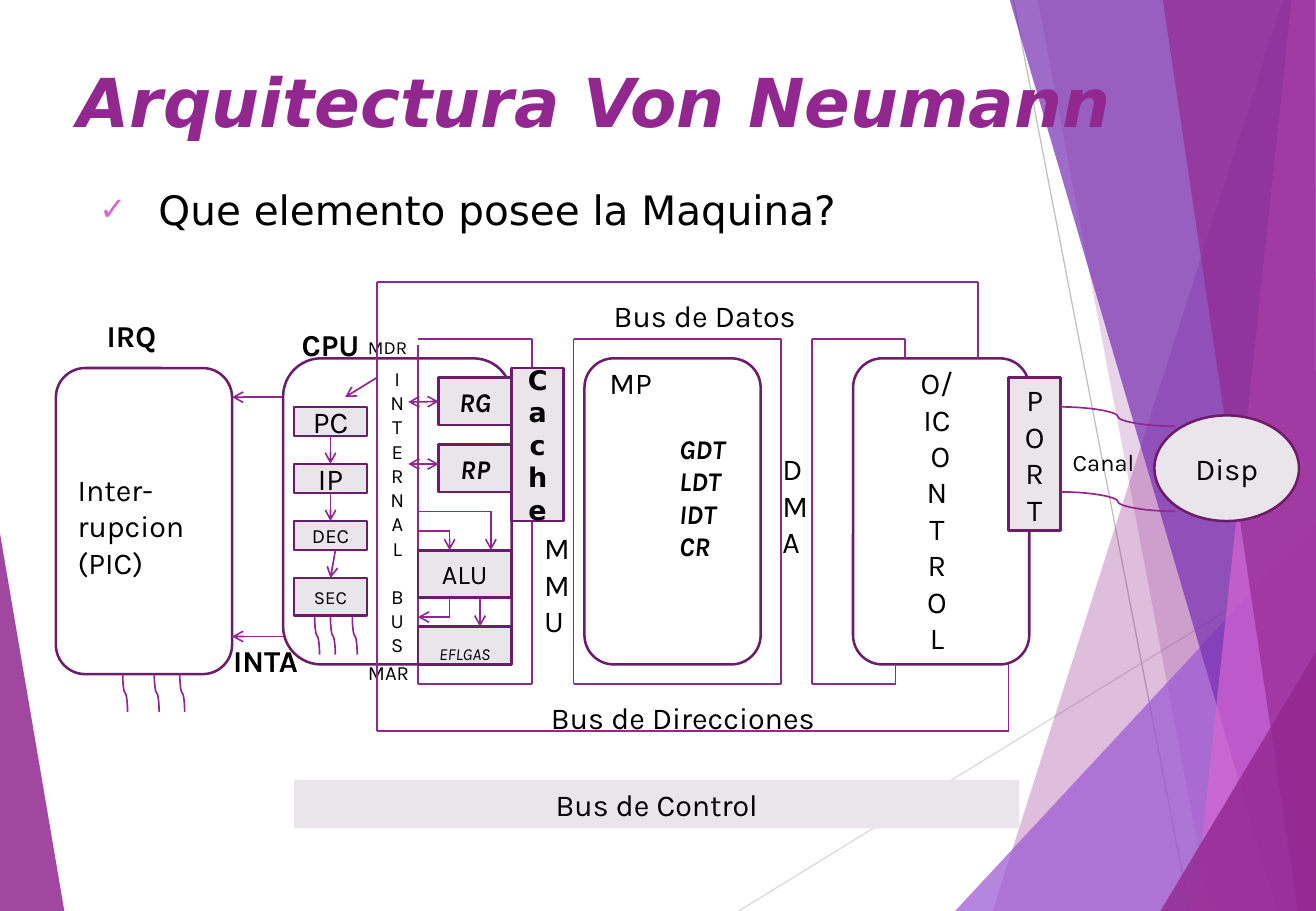
import dataclasses

import lxml.etree
import pptx
import pptx.dml.color
import pptx.enum.shapes
import pptx.enum.text
import pptx.oxml.ns
import pptx.util

Inches = pptx.util.Inches
RGBColor = pptx.dml.color.RGBColor
SHAPE = pptx.enum.shapes.MSO_SHAPE
CONNECTOR = pptx.enum.shapes.MSO_CONNECTOR
ANCHOR = pptx.enum.text.MSO_ANCHOR
ALIGN = pptx.enum.text.PP_ALIGN

BLACK = RGBColor(0x00, 0x00, 0x00)
WHITE = RGBColor(0xFF, 0xFF, 0xFF)
PURPLE = RGBColor(0x92, 0x27, 0x8F)
DARK_PURPLE = RGBColor(0x6C, 0x1D, 0x6A)
LAVENDER = RGBColor(0x9B, 0x57, 0xD3)
VIOLET = RGBColor(0x76, 0x2E, 0xB1)
PINK = RGBColor(0xD6, 0x65, 0xD3)
PALE = RGBColor(0xEA, 0xE5, 0xEB)
LIGHT_GREY = RGBColor(0xD9, 0xD9, 0xD9)
GREY = RGBColor(0xBF, 0xBF, 0xBF)
BODY_FONT = "Karla"
TITLE_FONT = "DejaVu Sans"


def add_element(parent, tag, **attributes):
    return lxml.etree.SubElement(parent, pptx.oxml.ns.qn(tag), attributes)


def write(frame, lines, size, font=BODY_FONT, color=BLACK, bold=False, italic=False, align=ALIGN.CENTER):
    frame.word_wrap = True
    for index, line in enumerate(lines):
        paragraph = frame.paragraphs[0] if index == 0 else frame.add_paragraph()
        paragraph.alignment = align
        run = paragraph.add_run()
        run.text = line
        run.font.size = pptx.util.Pt(size)
        run.font.name = font
        run.font.bold = bold
        run.font.italic = italic
        run.font.color.rgb = color


@dataclasses.dataclass
class Region:
    slide: object
    left: float
    top: float

    def place(self, x, y):
        return Inches(self.left + x), Inches(self.top + y)

    def box(self, x, y, width, height, lines=(), size=18, kind=SHAPE.RECTANGLE, fill=PALE, outline=True, **style):
        shape = self.slide.shapes.add_shape(kind, *self.place(x, y), Inches(width), Inches(height))
        shape.shadow.inherit = False
        shape.fill.solid()
        shape.fill.fore_color.rgb = fill
        if outline:
            shape.line.color.rgb = DARK_PURPLE
            shape.line.width = pptx.util.Pt(1.5)
        else:
            shape.line.fill.background()
        write(shape.text_frame, lines, size, **style)
        return shape

    def frame(self, width, height, lines=(), size=18):
        return self.box(0, 0, width, height, lines, size, SHAPE.ROUNDED_RECTANGLE, WHITE)

    def label(self, x, y, width, height, lines, size=18, align=ALIGN.LEFT, **style):
        shape = self.slide.shapes.add_textbox(*self.place(x, y), Inches(width), Inches(height))
        write(shape.text_frame, lines, size, align=align, **style)
        return shape

    def line(self, start, end, arrows=(), kind=CONNECTOR.STRAIGHT, color=PURPLE, weight=1):
        connector = self.slide.shapes.add_connector(kind, *self.place(*start), *self.place(*end))
        connector.line.color.rgb = color
        connector.line.width = pptx.util.Pt(weight)
        outline = connector.line._get_or_add_ln()
        for arrow in arrows:
            add_element(outline, arrow, type="arrow")
        add_element(connector._element.spPr, "a:effectLst")
        return connector

    def arrow(self, start, end):
        return self.line(start, end, ["a:tailEnd"])

    def route(self, *points, arrow=False):
        for start, end in zip(points[:-2], points[1:-1]):
            self.line(start, end)
        self.line(points[-2], points[-1], ["a:tailEnd"] if arrow else [])

    def wires(self, positions, y, drop=0.31, drift=0.04):
        for x in positions:
            center_x, center_y = x + drift / 2, y + drop / 2
            wire = self.line((center_x + drop / 2, center_y - drift / 2),
                             (center_x - drop / 2, center_y + drift / 2), kind=CONNECTOR.CURVE)
            wire._element.spPr.xfrm.set("rot", "16200000")

    def polygon(self, points, color, opacity):
        corners = [self.place(*point) for point in points]
        builder = self.slide.shapes.build_freeform(*corners[0])
        builder.add_line_segments(corners[1:], close=True)
        shape = builder.convert_to_shape()
        shape.shadow.inherit = False
        shape.line.fill.background()
        shape.fill.solid()
        shape.fill.fore_color.rgb = color
        color_element = shape._element.spPr.find(".//" + pptx.oxml.ns.qn("a:srgbClr"))
        add_element(color_element, "a:alpha", val=str(opacity * 1000))


def draw_backdrop(region, right=10.84, bottom=7.5):
    region.polygon([(0, 4.39), (0.53, bottom), (0, bottom)], PURPLE, 85)
    region.line((6.08, bottom), (right, 4.57), color=LIGHT_GREY, weight=0.75)
    region.line((8.34, 0), (9.79, bottom), color=GREY, weight=0.75)
    for top_x, top_y, bottom_x, inner_x, color, opacity in (
        (10.56, 0, 8.17, right, PURPLE, 30),
        (8.54, 0, 9.96, right, PURPLE, 20),
        (right, 4.29, 7.86, right, LAVENDER, 72),
        (8.31, 0, 10.51, right, VIOLET, 70),
        (10.63, 0, 9.83, right, PINK, 70),
        (9.57, 0, 10.68, 10.82, PURPLE, 65),
        (right, 5.35, 9.55, right, PURPLE, 80),
    ):
        region.polygon([(top_x, top_y), (bottom_x, bottom), (right, bottom), (inner_x, top_y)], color, opacity)


def draw_heading(region):
    title = region.slide.shapes.title
    region.slide.shapes._spTree.append(title._element)
    title.left, title.top = region.place(0, 0)
    title.width, title.height = Inches(9.84), Inches(0.7)
    title.text_frame.vertical_anchor = ANCHOR.TOP
    title.text_frame.auto_size = pptx.enum.text.MSO_AUTO_SIZE.NONE
    write(title.text_frame, ["Arquitectura Von Neumann"], 40, TITLE_FONT, PURPLE, True, True, ALIGN.LEFT)
    question = region.label(0.18, 1.03, 9.55, 0.5, [" Que elemento posee la Maquina?"], 24, font=TITLE_FONT)
    properties = question.text_frame.paragraphs[0]._p.get_or_add_pPr()
    properties.set("marL", str(Inches(0.38)))
    properties.set("indent", str(Inches(-0.38)))
    add_element(add_element(properties, "a:buClr"), "a:srgbClr", val=str(PINK))
    add_element(properties, "a:buSzPct", val="80000")
    add_element(properties, "a:buFont", typeface=TITLE_FONT)
    add_element(properties, "a:buChar", char="✓")


def draw_interrupts(region):
    region.frame(1.45, 2.52)
    region.label(0.08, 0.8, 1.28, 1.01, ["Inter-rupcion (PIC)"])
    region.label(0.32, -0.47, 0.94, 0.4, ["IRQ"], bold=True)
    region.label(1.36, 2.21, 0.94, 0.4, ["INTA"], bold=True)
    for y in (0.24, 2.21):
        region.arrow((1.87, y), (1.45, y))
    region.wires((0.55, 0.81, 1.02), 2.52)


def draw_cpu_frame(region):
    internal_bus = region.frame(1.88, 2.52, "INTERNALBUS", 12)
    internal_bus.text_frame.paragraphs[len("INTERNAL")].space_before = pptx.util.Pt(14)
    region.label(-0.25, -0.31, 1.28, 0.4, ["CPU"], align=ALIGN.CENTER, bold=True)
    region.label(0.6, -0.23, 1.11, 0.29, ["MDR"], 11)
    region.label(0.6, 2.44, 0.94, 0.3, ["MAR"], 12)


def draw_cpu_parts(region):
    stages = [
        region.box(0.09, 0.4 + 0.47 * index, 0.6, height, [name], size)
        for index, (name, height, size) in enumerate(
            (("PC", 0.24, 18), ("IP", 0.24, 18), ("DEC", 0.24, 12), ("SEC", 0.31, 11)))
    ]
    region.arrow((0.77, 0.16), (0.51, 0.32))
    for index in (0, 1):
        step = region.arrow((0.39, 0.64 + 0.47 * index), (0.39, 0.87 + 0.47 * index))
        step.begin_connect(stages[index], 2)
        step.end_connect(stages[index + 1], 0)
    region.arrow((0.43, 1.58), (0.39, 1.81)).end_connect(stages[3], 0)
    region.wires((0.26, 0.39, 0.57), 2.13)

    region.box(1.88, 0.08, 0.43, 1.26, ["Ca", "che"], 16, font=TITLE_FONT, bold=True)
    region.label(2.05, 1.36, 0.34, 1.01, ["MMU"])
    general, pointer = [
        region.box(1.28, y, 0.6, 0.39, [name], 16, bold=True, italic=True)
        for name, y in (("RG", 0.16), ("RP", 0.71))
    ]
    both_ends = ("a:headEnd", "a:tailEnd")
    region.line((1.03, 0.36), (1.28, 0.36), both_ends).end_connect(general, 1)
    region.line((1.03, 0.87), (1.28, 0.87), both_ends)

    region.box(1.11, 1.58, 0.77, 0.39, ["ALU"], 16)
    flags = region.box(1.11, 2.21, 0.77, 0.31, ["EFLGAS"], 10, italic=True)
    flags.text_frame.vertical_anchor = ANCHOR.BOTTOM
    flags.text_frame.margin_bottom = 0
    region.route((1.11, 1.42), (1.37, 1.42), (1.37, 1.58), arrow=True)
    region.route((1.11, 1.26), (1.71, 1.26), (1.71, 1.58), arrow=True)
    region.route((1.37, 1.97), (1.37, 2.13), (1.11, 2.13), arrow=True)
    region.arrow((1.62, 1.97), (1.62, 2.21))


def draw_memory(region):
    region.frame(1.45, 2.52)
    region.label(-0.26, 0, 1.28, 0.4, ["MP"], align=ALIGN.CENTER)
    region.label(0.68, 0.56, 0.77, 1.18, ["GDT", "LDT", "IDT", "CR"], 16, bold=True, italic=True)
    region.label(1.53, 0.71, 0.34, 1.01, ["DMA"])


def draw_input_output(region):
    region.frame(1.45, 2.52)
    region.label(0.35, 0, 0.68, 2.52, ["O/IC", " O", *"NTROL"], align=ALIGN.CENTER)
    region.box(1.28, 0.16, 0.43, 1.26, ["PORT"])
    for y in (0.4, 1.1):
        region.line((1.71, y), (2.65, y + 0.16), kind=CONNECTOR.CURVE)
    region.box(2.48, 0.47, 1.19, 0.87, ["Disp"], kind=SHAPE.OVAL)
    region.label(1.71, 0.69, 0.77, 0.34, ["Canal"], 14)


def draw_buses(region):
    upper, lower = 0.47, 3.31
    region.route((0, 3.7), (0, 0), (4.95, 0), (4.95, 0.63))
    region.route((0, 3.7), (5.2, 3.7), (5.2, 3.15))
    region.route((0.34, 0.52), (0.34, lower), (1.28, lower), (1.28, upper), (0.34, upper))
    region.route((1.62, upper), (3.33, upper), (3.33, lower), (1.62, lower), (1.62, upper))
    region.route((4.35, 0.63), (4.35, upper), (3.58, upper), (3.58, lower), (4.27, lower), (4.27, 3.15))
    region.label(0.78, 0.08, 3.84, 0.4, ["Bus de Datos"], align=ALIGN.CENTER)
    region.label(0.6, 3.39, 3.84, 0.4, ["Bus de Direcciones"], align=ALIGN.CENTER)
    region.box(-0.68, 4.1, 5.97, 0.4, ["Bus de Control"], outline=False)


def main():
    presentation = pptx.Presentation()
    presentation.slide_width, presentation.slide_height = Inches(10.83), Inches(7.5)
    slide = presentation.slides.add_slide(presentation.slide_layouts.get_by_name("Title Only"))
    for draw, left, top in (
        (draw_backdrop, 0, 0),
        (draw_heading, 0.54, 0.44),
        (draw_interrupts, 0.46, 3.03),
        (draw_cpu_frame, 2.33, 2.95),
        (draw_memory, 4.81, 2.95),
        (draw_input_output, 7.02, 2.95),
        (draw_buses, 3.1, 2.32),
        (draw_cpu_parts, 2.33, 2.95),
    ):
        draw(Region(slide, left, top))
    presentation.save("out.pptx")


if __name__ == "__main__":
    main()
